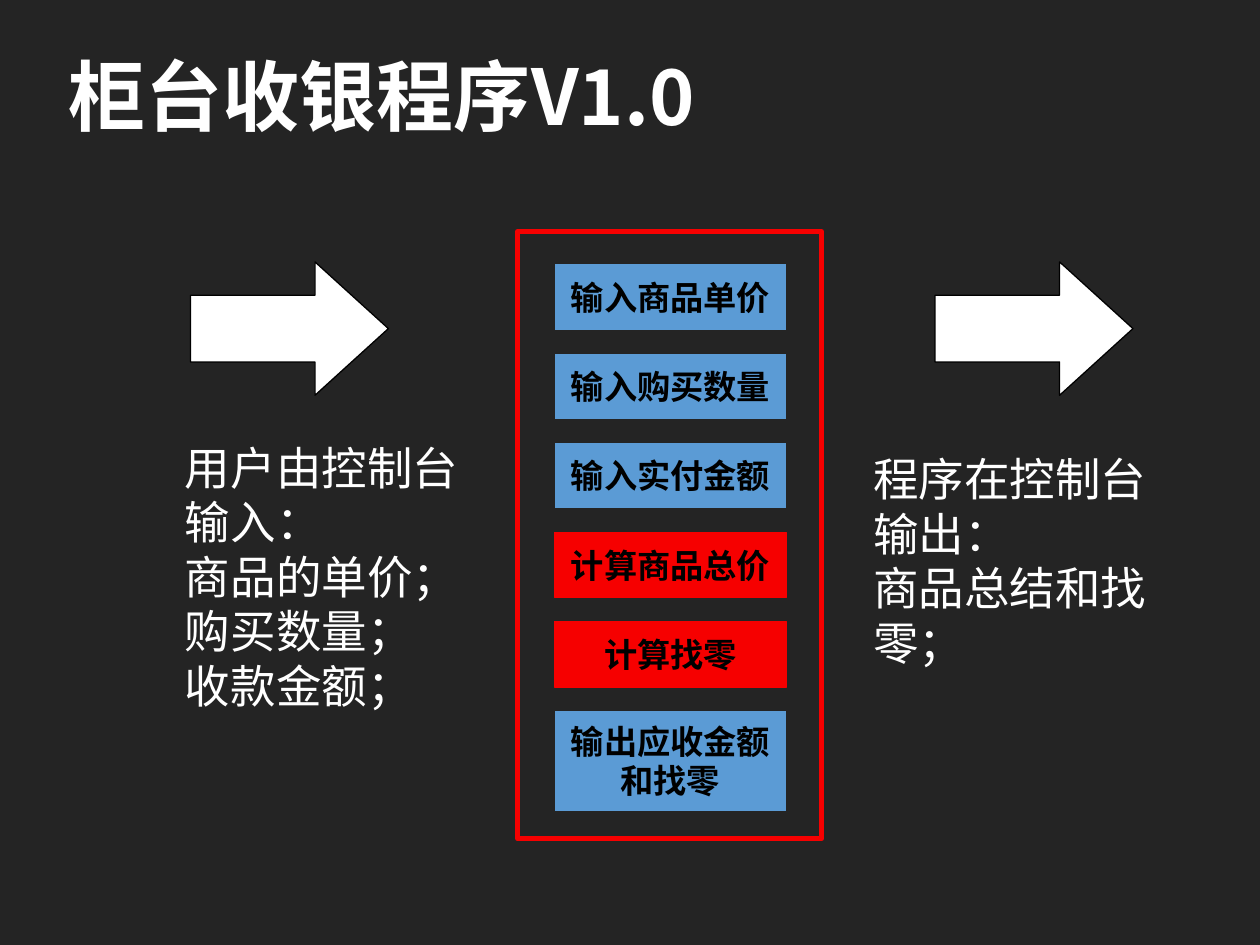
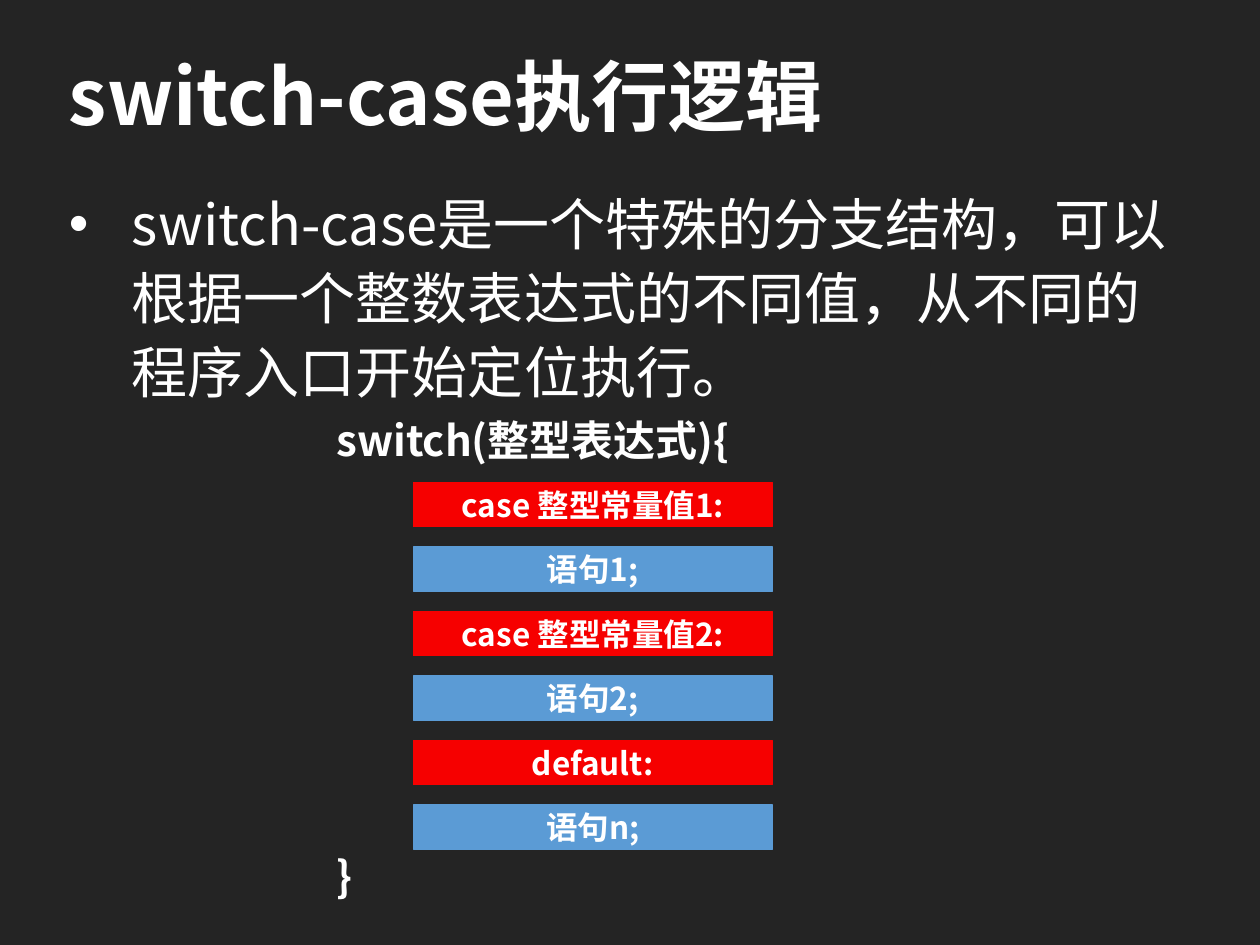
from dataclasses import dataclass

from lxml.etree import SubElement
from pptx import Presentation
from pptx.dml.color import RGBColor
from pptx.enum.shapes import MSO_SHAPE
from pptx.enum.text import MSO_ANCHOR, PP_ALIGN
from pptx.oxml.ns import qn
from pptx.util import Cm, Pt


@dataclass(frozen=True)
class Theme:
    font: str = "Noto Sans CJK SC"
    back: RGBColor = RGBColor(0x24, 0x24, 0x24)
    white: RGBColor = RGBColor(0xFF, 0xFF, 0xFF)
    black: RGBColor = RGBColor(0, 0, 0)
    blue: RGBColor = RGBColor(0x5B, 0x9B, 0xD5)
    red: RGBColor = RGBColor(0xF6, 0, 0)
    title: int = 44
    body: int = 32
    note: int = 26
    code: int = 24
    step: int = 19
    case: int = 18
    thin: float = 0.75
    thick: float = 3


class Deck:
    def __init__(self, theme):
        self.theme = theme
        self.show = Presentation()
        self.show.slide_width, self.show.slide_height = Cm(25.4), Cm(19.05)
        fill = self.show.slide_master.background.fill
        fill.solid()
        fill.fore_color.rgb = theme.back
        self.slide = None

    def page(self, title):
        self.slide = self.show.slides.add_slide(self.show.slide_layouts[6])
        frame = self.text([title], (1.14, 0.58, 23.09, 2.64), self.theme.title, bold=True, inset=0.25)
        frame.vertical_anchor = MSO_ANCHOR.MIDDLE

    def put(self, frame, lines, size, color, bold, align):
        for i, line in enumerate(lines):
            para = frame.paragraphs[0] if i == 0 else frame.add_paragraph()
            para.alignment = align
            run = para.add_run()
            run.text = line
            font = run.font
            font.size, font.bold = Pt(size), bold
            font.color.rgb = color
            font.name = self.theme.font
            props = run._r.get_or_add_rPr()
            SubElement(props, qn("a:ea")).set("typeface", self.theme.font)

    def text(self, lines, area, size, bold=False, inset=0.28):
        frame = self.slide.shapes.add_textbox(*map(Cm, area)).text_frame
        frame.word_wrap = True
        frame.margin_left = frame.margin_right = Cm(inset)
        self.put(frame, lines, size, self.theme.white, bold, PP_ALIGN.LEFT)
        return frame

    def bullet(self, line, area):
        para = self.text([line], area, self.theme.body, inset=0.25).paragraphs[0]
        para.line_spacing, para.space_before = 1.1, Pt(5)
        props = para._p.get_or_add_pPr()
        props.set("marL", str(Cm(1.27)))
        props.set("indent", str(-Cm(1.27)))
        SubElement(props, qn("a:buFont")).set("typeface", "Arial")
        SubElement(props, qn("a:buChar")).set("char", "•")

    def shape(self, kind, area, fill=None, line=None, width=None):
        shape = self.slide.shapes.add_shape(kind, *map(Cm, area))
        shape.shadow.inherit = False
        if fill is None:
            shape.fill.background()
        else:
            shape.fill.solid()
            shape.fill.fore_color.rgb = fill
        if line is None:
            shape.line.fill.background()
        else:
            shape.line.color.rgb = line
            shape.line.width = Pt(width or self.theme.thin)
        return shape

    def arrow(self, left):
        shape = self.shape(MSO_SHAPE.RIGHT_ARROW, (left, 5.28, 3.99, 2.69), self.theme.white, self.theme.black)
        shape.adjustments[1] = 0.55

    def box(self, lines, area, size, color, fill, line=None):
        frame = self.shape(MSO_SHAPE.FLOWCHART_PROCESS, area, fill, line).text_frame
        frame.word_wrap = False
        frame.margin_left = frame.margin_right = Cm(0.28)
        frame.vertical_anchor = MSO_ANCHOR.MIDDLE
        self.put(frame, lines, size, color, True, PP_ALIGN.CENTER)

    def border(self, area):
        self.shape(MSO_SHAPE.FLOWCHART_PROCESS, area, line=self.theme.red, width=self.theme.thick)


look = Theme()
deck = Deck(look)

deck.page("柜台收银程序V1.0")
for left in (3.84, 18.85):
    deck.arrow(left)
deck.text(
    ["用户由控制台", "输入：", "商品的单价；", "购买数量；", "收款金额；"],
    (3.45, 8.74, 6.43, 5.84),
    look.note,
)
steps = [
    (["输入商品单价"], False),
    (["输入购买数量"], False),
    (["输入实付金额"], False),
    (["计算商品总价"], True),
    (["计算找零"], True),
    (["输出应收金额", "和找零"], False),
]
for i, (lines, hot) in enumerate(steps):
    high = 1.32 if len(lines) == 1 else 2.01
    fill, line = (look.red, look.red) if hot else (look.blue, None)
    deck.box(lines, (11.18, 5.33 + 1.8 * i, 4.67, high), look.step, look.black, fill, line)
deck.border((10.44, 4.67, 6.12, 12.24))
deck.text(["程序在控制台输出：", "商品总结和找零；"], (17.32, 8.97, 6.43, 4.75), look.note)

deck.page("switch-case执行逻辑")
deck.bullet(
    "switch-case是一个特殊的分支结构，可以根据一个整数表达式的不同值，从不同的程序入口开始定位执行。",
    (1.14, 3.56, 23.14, 14.1),
)
deck.text(["switch(整型表达式){"], (6.5, 8.23, 9.09, 1.32), look.code, bold=True)
deck.text(["}"], (6.5, 17.02, 1.12, 1.32), look.code, bold=True)
rows = ["case 整型常量值1:", "语句1;", "case 整型常量值2:", "语句2;", "default:", "语句n;"]
for i, row in enumerate(rows):
    fill = look.blue if i % 2 else look.red
    deck.box([row], (8.33, 9.73 + 1.3 * i, 7.24, 0.89), look.case, look.white, fill, fill)

deck.show.save("out.pptx")
